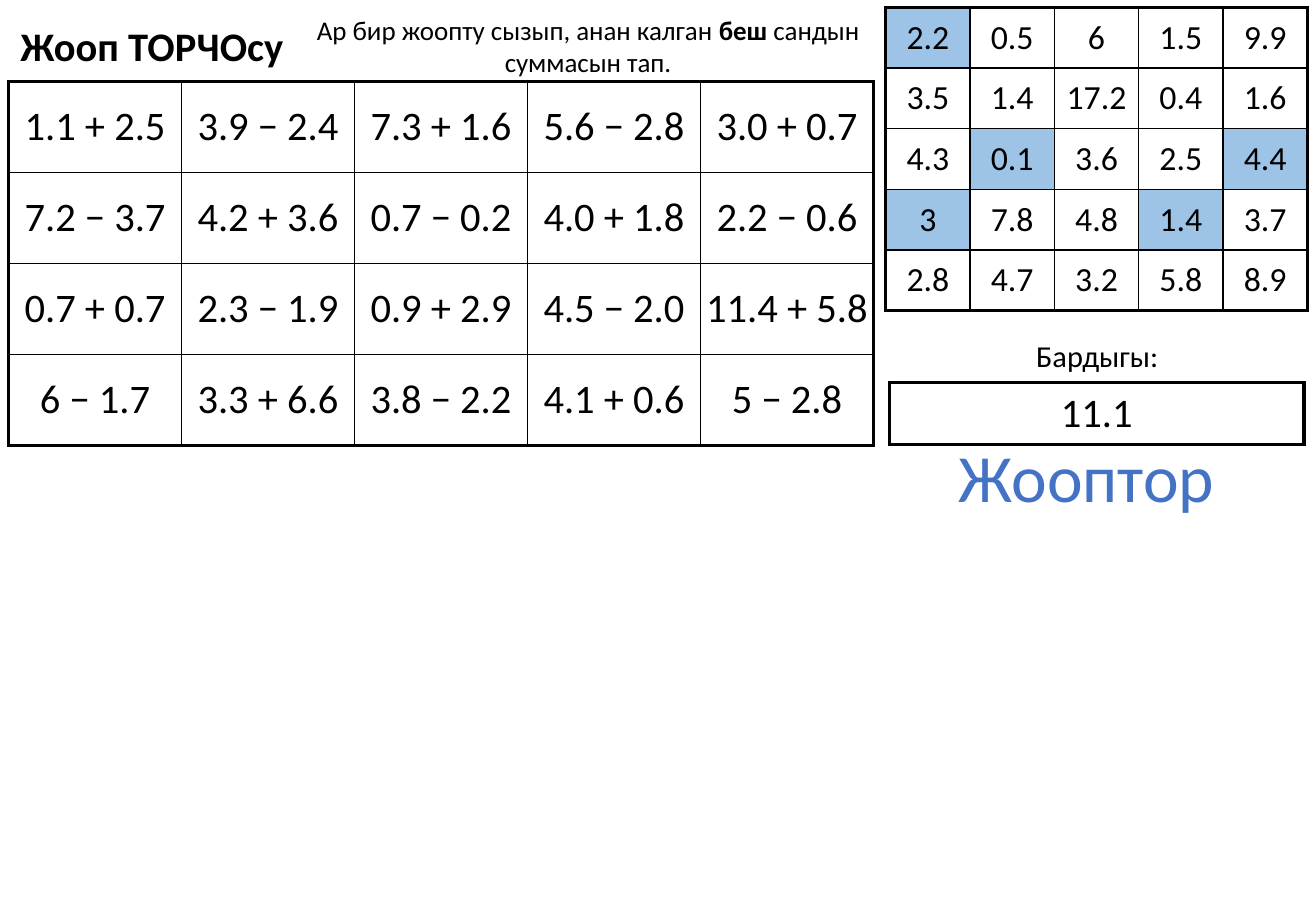
from lxml.etree import SubElement
from pptx import Presentation
from pptx.dml.color import RGBColor
from pptx.enum.text import MSO_ANCHOR as Anchor, PP_ALIGN as Align
from pptx.oxml.ns import qn
from pptx.util import Inches, Pt

SLIDE_WIDTH, SLIDE_HEIGHT = Inches(10.83), Inches(7.5)
COLORS = {"ink": "000000", "paper": "FFFFFF", "leftover": "9DC3E6", "key": "4472C4"}
OUTER, INNER = 2.25, 1

QUESTIONS = [
    ["1.1 + 2.5", "3.9 − 2.4", "7.3 + 1.6", "5.6 − 2.8", "3.0 + 0.7"],
    ["7.2 − 3.7", "4.2 + 3.6", "0.7 − 0.2", "4.0 + 1.8", "2.2 − 0.6"],
    ["0.7 + 0.7", "2.3 − 1.9", "0.9 + 2.9", "4.5 − 2.0", "11.4 + 5.8"],
    ["6 − 1.7", "3.3 + 6.6", "3.8 − 2.2", "4.1 + 0.6", "5 − 2.8"],
]
ANSWERS = [
    ["2.2", "0.5", "6", "1.5", "9.9"],
    ["3.5", "1.4", "17.2", "0.4", "1.6"],
    ["4.3", "0.1", "3.6", "2.5", "4.4"],
    ["3", "7.8", "4.8", "1.4", "3.7"],
    ["2.8", "4.7", "3.2", "5.8", "8.9"],
]
LEFTOVERS = {(0, 0), (2, 1), (2, 4), (3, 0), (3, 3)}


def rgb(name):
    return RGBColor.from_string(COLORS[name])


def percent(left, top, width, height):
    return (
        round(SLIDE_WIDTH * left / 100),
        round(SLIDE_HEIGHT * top / 100),
        round(SLIDE_WIDTH * width / 100),
        round(SLIDE_HEIGHT * height / 100),
    )


def write(frame, text, size=24, color="ink", bold=False, align=Align.CENTER):
    paragraph = frame.paragraphs[0]
    paragraph.alignment = align
    for index, part in enumerate(text.split("**")):
        run = paragraph.add_run()
        run.text = part
        run.font.name = "Calibri"
        run.font.size = Pt(size)
        run.font.bold = bold or index % 2 == 1
        run.font.color.rgb = rgb(color)


def add_label(slide, place, text, **style):
    frame = slide.shapes.add_textbox(*percent(*place)).text_frame
    frame.word_wrap = True
    write(frame, text, **style)


def set_title(slide, place, text, **style):
    title = slide.shapes.title
    title.left, title.top, title.width, title.height = percent(*place)
    title.text_frame.vertical_anchor = Anchor.TOP
    write(title.text_frame, text, **style)


def add_border(cell, side, width):
    line = SubElement(cell._tc.get_or_add_tcPr(), qn(f"a:ln{side}"), w=str(Pt(width)))
    fill = SubElement(line, qn("a:solidFill"))
    SubElement(fill, qn("a:srgbClr"), val=COLORS["ink"])


def add_grid(slide, place, rows, size=24, leftovers=(), margin=0, anchor=Anchor.MIDDLE):
    row_count, column_count = len(rows), len(rows[0])
    box = percent(*place)
    table = slide.shapes.add_table(row_count, column_count, *box).table
    table.first_row = table.horz_banding = False
    for r, row in enumerate(rows):
        for c, text in enumerate(row):
            cell = table.cell(r, c)
            cell.margin_left = cell.margin_right = Inches(2 * margin)
            cell.margin_top = cell.margin_bottom = Inches(margin)
            cell.vertical_anchor = anchor
            edges = {
                "L": c == 0,
                "R": c == column_count - 1,
                "T": r == 0,
                "B": r == row_count - 1,
            }
            for side, is_outer in edges.items():
                add_border(cell, side, OUTER if is_outer else INNER)
            cell.fill.solid()
            cell.fill.fore_color.rgb = rgb("leftover" if (r, c) in leftovers else "paper")
            write(cell.text_frame, text, size=size)


def main():
    deck = Presentation()
    deck.slide_width, deck.slide_height = SLIDE_WIDTH, SLIDE_HEIGHT
    slide = deck.slides.add_slide(deck.slide_layouts[5])

    add_grid(slide, (67.31, 0.8, 32.04, 33.33), ANSWERS, size=20, leftovers=LEFTOVERS)
    add_grid(slide, (0.65, 8.93, 65.74, 40), QUESTIONS)
    add_grid(slide, (67.59, 42, 31.49, 6.67), [["11.1"]], margin=0.05, anchor=Anchor.TOP)
    add_label(slide, (68.05, 36.4, 30.66, 5.33), "Бардыгы:", size=18)
    add_label(
        slide,
        (21.33, 0.8, 46.72, 8.53),
        "Ар бир жоопту сызып, анан калган **беш** сандын суммасын тап.",
        size=16,
    )
    add_label(slide, (57.53, 47.07, 50.05, 10.27), "Жооптор", size=40, color="key")
    set_title(slide, (0.65, 1.6, 53.74, 6.67), "Жооп ТОРЧОсу", bold=True, align=Align.LEFT)

    deck.save("out.pptx")


if __name__ == "__main__":
    main()
